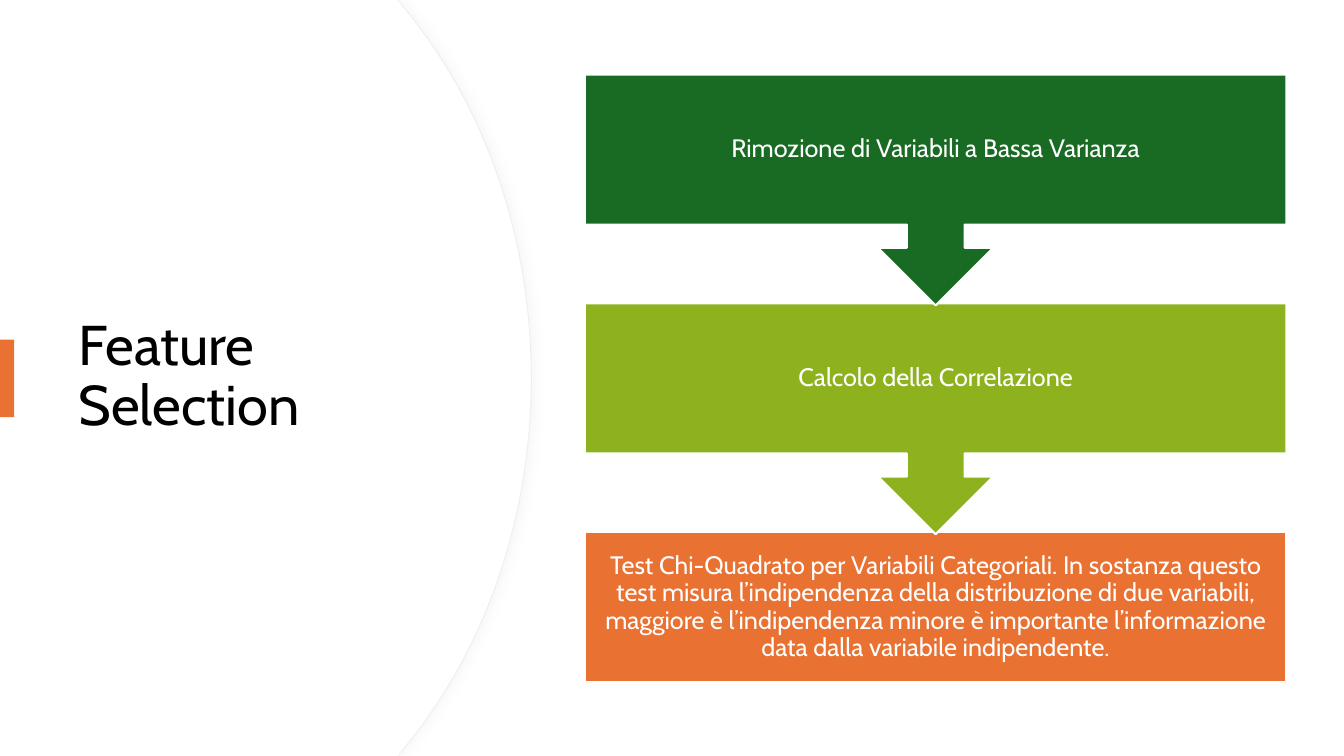
from pptx import Presentation
from pptx.dml.color import RGBColor
from pptx.enum.shapes import MSO_SHAPE
from pptx.enum.text import MSO_ANCHOR, MSO_AUTO_SIZE, PP_ALIGN
from pptx.oxml import parse_xml
from pptx.oxml.ns import nsdecls
from pptx.util import Inches, Pt

COLORS = {
    "white": "FFFFFF",
    "black": "000000",
    "rim": "EFEFEF",
    "shade": "D9D9D9",
    "orange": "E97132",
    "lime": "8EB21E",
    "green": "196B24",
}
FONT = "Cabin"
WIDTH, HEIGHT = 13.33, 7.5
STEP_LEFT, STEP_TOP, STEP_WIDTH = 5.8, 0.74, 6.96
ROW_PITCH, BOX_HEIGHT, CALLOUT_HEIGHT = 2.27, 1.49, 2.29

STEPS = [
    ("Rimozione di Variabili a Bassa Varianza", "green"),
    ("Calcolo della Correlazione", "lime"),
    (
        "Test Chi-Quadrato per Variabili Categoriali. In sostanza questo test "
        "misura l’indipendenza della distribuzione di due variabili, maggiore è "
        "l’indipendenza minore è importante l’informazione data dalla variabile "
        "indipendente.",
        "orange",
    ),
]


def rgb(name):
    return RGBColor.from_string(COLORS[name])


def paint(sp, fill, line=None, width=0):
    sp.shadow.inherit = False
    sp.fill.solid()
    sp.fill.fore_color.rgb = rgb(fill)
    if line:
        sp.line.color.rgb = rgb(line)
        sp.line.width = Pt(width)
    else:
        sp.line.fill.background()


def add_block(s, kind, box, fill, line=None, width=0):
    sp = s.shapes.add_shape(kind, *map(Inches, box))
    paint(sp, fill, line, width)
    return sp


def write(tf, text, size, color, align):
    tf.word_wrap = True
    tf.auto_size = MSO_AUTO_SIZE.NONE
    tf.vertical_anchor = MSO_ANCHOR.MIDDLE
    p = tf.paragraphs[0]
    p.alignment = align
    p.line_spacing = 0.9
    r = p.add_run()
    r.text = text
    r.font.name = FONT
    r.font.size = Pt(size)
    r.font.color.rgb = rgb(color)


def bend(segment, controls):
    points = "".join(f'<a:pt x="{Inches(x)}" y="{Inches(y)}"/>' for x, y in controls)
    curve = parse_xml(f'<a:cubicBezTo {nsdecls("a")}>{points}</a:cubicBezTo>')
    segment.getparent().replace(segment, curve)


def add_panel(s, reach, line=None, width=0):
    shoulder = (reach - 1.26, 0.08)
    upper = [shoulder, (reach - 0.48, 1.02), (reach, 2.32), (reach, HEIGHT / 2)]
    lower = [(x, HEIGHT - y) for x, y in reversed(upper)]
    corners = [(3.94, 0), upper[0], upper[-1], lower[-1], (3.94, HEIGHT), (0, HEIGHT)]
    builder = s.shapes.build_freeform(0, 0)
    builder.add_line_segments([(Inches(x), Inches(y)) for x, y in corners], close=True)
    sp = builder.convert_to_shape()
    segments = list(sp.element.iter("{*}lnTo"))
    for segment, half in zip(segments[2:4], (upper, lower)):
        bend(segment, half[1:])
    paint(sp, "white", line, width)
    return sp


def add_shadow(sp):
    effects = sp.element.spPr.find("{*}effectLst")
    shadow = parse_xml(
        f'<a:outerShdw {nsdecls("a")} blurRad="{Pt(7)}" dist="{Pt(3)}" dir="0" '
        f'algn="l" rotWithShape="0"><a:srgbClr val="{COLORS["shade"]}">'
        '<a:alpha val="20000"/></a:srgbClr></a:outerShdw>'
    )
    effects.append(shadow)


def add_title(s, text):
    sp = s.shapes.title
    sp.left, sp.top, sp.width, sp.height = map(Inches, (0.68, 1.27, 3.94, 4.95))
    write(sp.text_frame, text, 40, "black", PP_ALIGN.LEFT)
    return sp


def add_step(s, row, text, color, last):
    top = STEP_TOP + row * ROW_PITCH
    box = (STEP_LEFT, top, STEP_WIDTH, BOX_HEIGHT)
    if last:
        add_block(s, MSO_SHAPE.RECTANGLE, box, color, "white", 1.5)
    else:
        callout = (STEP_LEFT, top, STEP_WIDTH, CALLOUT_HEIGHT)
        sp = add_block(s, MSO_SHAPE.UP_ARROW_CALLOUT, callout, color, "white", 1.5)
        sp.rotation = 180
    tf = s.shapes.add_textbox(*map(Inches, box)).text_frame
    tf.margin_left = tf.margin_right = tf.margin_top = tf.margin_bottom = Inches(0.14)
    write(tf, text, 18, "white", PP_ALIGN.CENTER)


def main():
    prs = Presentation()
    prs.slide_width, prs.slide_height = Inches(WIDTH), Inches(HEIGHT)
    s = prs.slides.add_slide(prs.slide_layouts[5])
    s.background.fill.solid()
    s.background.fill.fore_color.rgb = rgb("white")
    title = add_title(s, "Feature Selection")
    rim = add_panel(s, 5.27, "rim", 0.75)
    add_shadow(rim)
    face = add_panel(s, 5.26)
    for panel in (rim, face):
        title.element.addprevious(panel.element)
    add_block(s, MSO_SHAPE.RECTANGLE, (0, 3.37, 0.14, 0.77), "orange")
    for row, (text, color) in reversed(list(enumerate(STEPS))):
        add_step(s, row, text, color, row == len(STEPS) - 1)
    prs.save("out.pptx")


if __name__ == "__main__":
    main()
